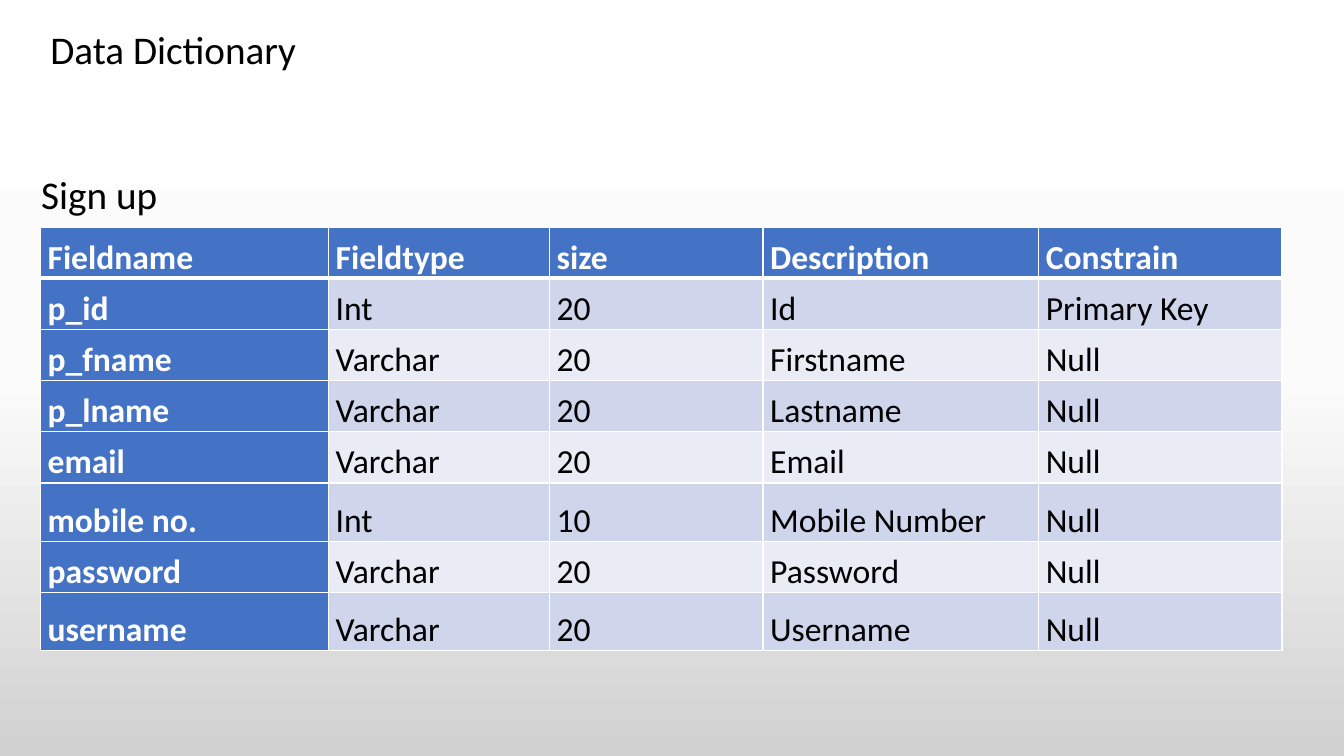
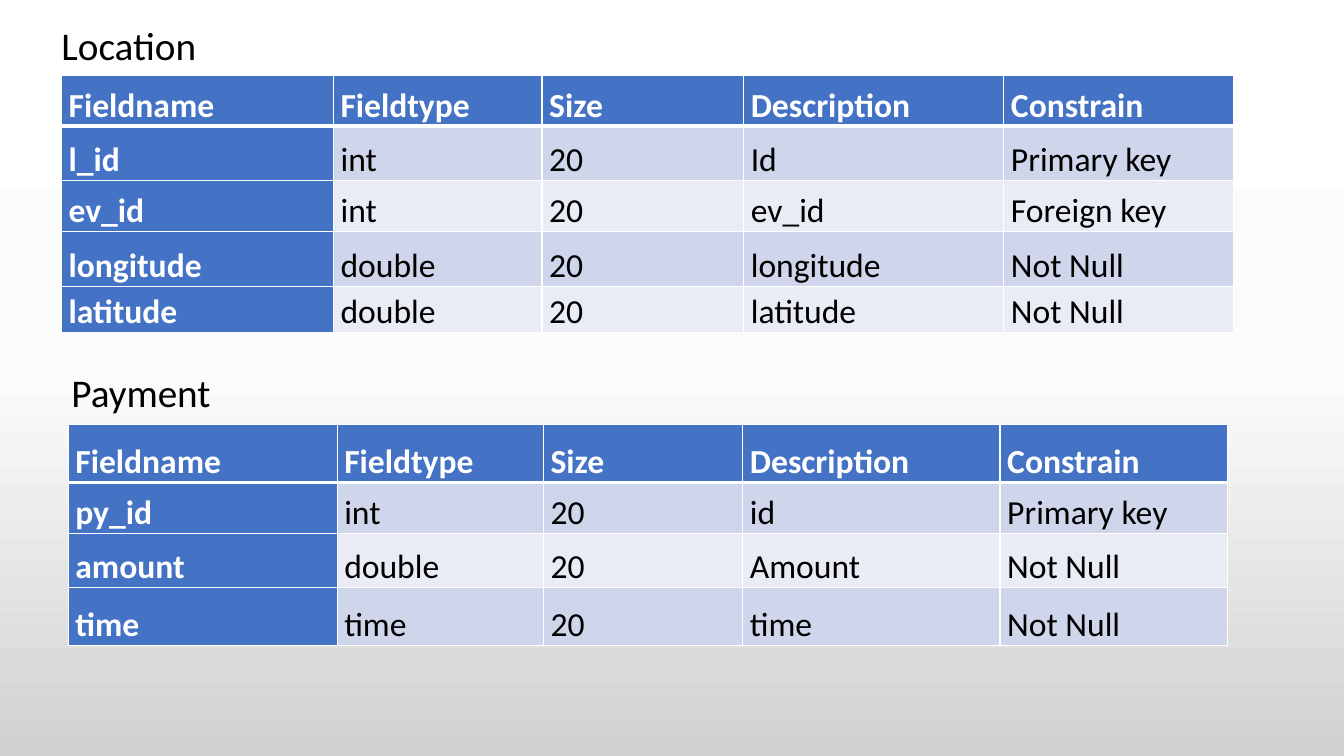
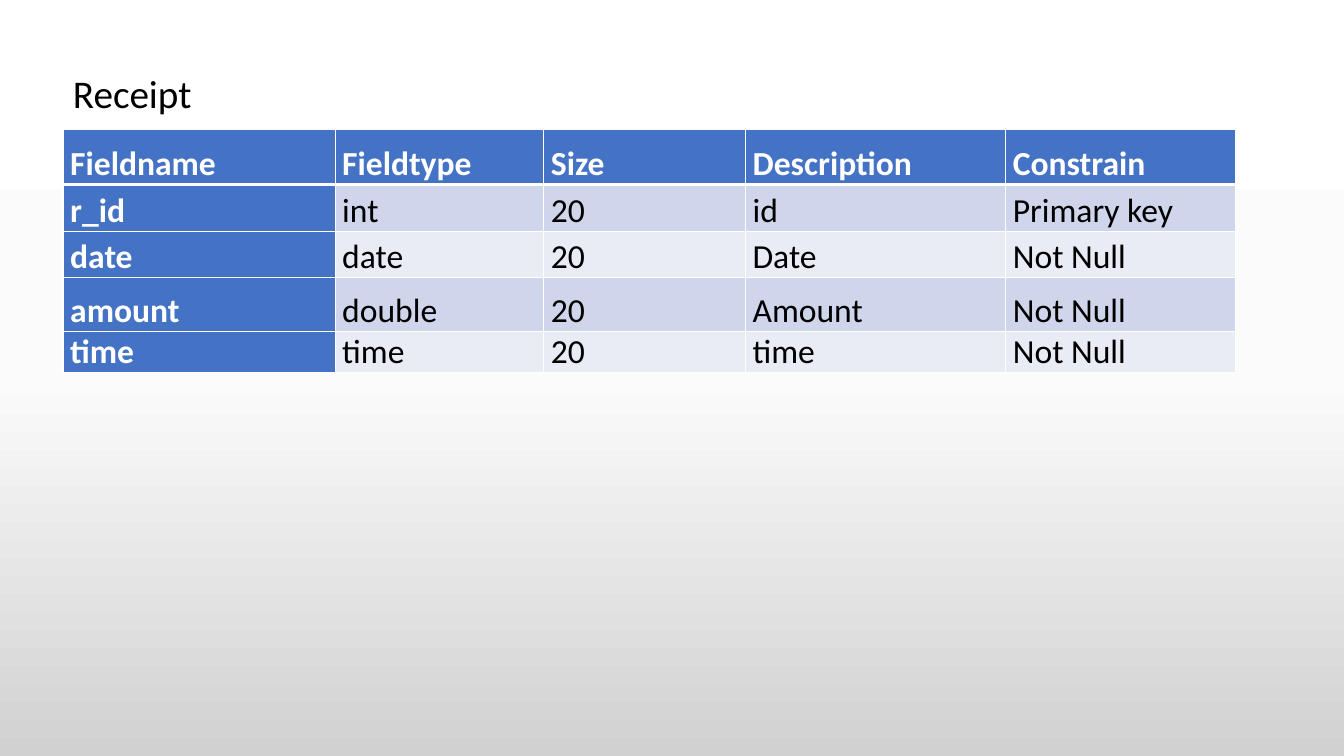
"""Builds three data dictionary slides with captioned field tables."""
from copy import deepcopy

from pptx import Presentation
from pptx.dml.color import RGBColor
from pptx.enum.text import MSO_ANCHOR as Anchor
from pptx.oxml.ns import qn
from pptx.oxml.xmlchemy import OxmlElement as new_element
from pptx.util import Cm, Pt

COLORS = {
    "text": "000000",
    "light_text": "FFFFFF",
    "border": "FFFFFF",
    "heading": "4472C4",
    "odd_row": "CFD5EA",
    "even_row": "E9EBF5",
}
BACKGROUND = [(0, "FFFFFF"), (0.5, "FBFBFB"), (1, "D1D1D1")]
FONT = "Calibri"
CAPTION_SIZE = 28
CELL_SIZE = 24
CELL_MARGIN = 0.18
COLUMN_SHARES = [0.232, 0.178, 0.172, 0.222, 0.196]
HEADER = ("Fieldname", "Fieldtype", "Size", "Description", "Constrain")

SIGN_UP = [
    ("Fieldname", "Fieldtype", "size", "Description", "Constrain"),
    ("p_id", "Int", "20", "Id", "Primary Key"),
    ("p_fname", "Varchar", "20", "Firstname", "Null"),
    ("p_lname", "Varchar", "20", "Lastname", "Null"),
    ("email", "Varchar", "20", "Email", "Null"),
    ("mobile no.", "Int", "10", "Mobile Number", "Null"),
    ("password", "Varchar", "20", "Password", "Null"),
    ("username", "Varchar", "20", "Username", "Null"),
]
LOCATION = [
    HEADER,
    ("l_id", "int", "20", "Id", "Primary key"),
    ("ev_id", "int", "20", "ev_id", "Foreign key"),
    ("longitude", "double", "20", "longitude", "Not Null"),
    ("latitude", "double", "20", "latitude", "Not Null"),
]
PAYMENT = [
    HEADER,
    ("py_id", "int", "20", "id", "Primary key"),
    ("amount", "double", "20", "Amount", "Not Null"),
    ("time", "time", "20", "time", "Not Null"),
]
RECEIPT = [
    HEADER,
    ("r_id", "int", "20", "id", "Primary key"),
    ("date", "date", "20", "Date", "Not Null"),
    ("amount", "double", "20", "Amount", "Not Null"),
    ("time", "time", "20", "time", "Not Null"),
]


def rgb(name):
    return RGBColor.from_string(COLORS[name])


def set_background(master):
    fill = master.background.fill
    fill.gradient()
    fill.gradient_angle = 270
    stop_list = master.element.find(".//" + qn("a:gsLst"))
    stop_list.append(deepcopy(stop_list[0]))
    for stop, (position, color) in zip(fill.gradient_stops, BACKGROUND):
        stop.position = position
        stop.color.rgb = RGBColor.from_string(color)


def write(frame, text, size=CELL_SIZE, color="text", bold=False, spacing=1.0):
    para = frame.paragraphs[0]
    para.line_spacing = spacing
    span = para.add_run()
    span.text = text
    span.font.name = FONT
    span.font.size = Pt(size)
    span.font.bold = bold
    span.font.color.rgb = rgb(color)


def add_caption(page, text, left, top, width, height, anchor=Anchor.MIDDLE, spacing=0.9):
    box = page.shapes.add_textbox(Cm(left), Cm(top), Cm(width), Cm(height))
    frame = box.text_frame
    frame.word_wrap = True
    frame.vertical_anchor = anchor
    write(frame, text, size=CAPTION_SIZE, spacing=spacing)


def add_border(cell, side, width):
    line = new_element(f"a:ln{side}")
    line.set("w", str(Pt(width)))
    fill = new_element("a:solidFill")
    color = new_element("a:srgbClr")
    color.set("val", COLORS["border"])
    fill.append(color)
    line.append(fill)
    cell._tc.get_or_add_tcPr().append(line)


def format_cell(cell, text, row, column):
    is_heading = row == 0 or column == 0
    cell.vertical_anchor = Anchor.BOTTOM
    cell.margin_left = cell.margin_right = Cm(CELL_MARGIN)
    cell.margin_top = cell.margin_bottom = 0
    widths = {"L": 1, "R": 1, "T": 3 if row == 1 else 1, "B": 3 if row == 0 else 1}
    for side, width in widths.items():
        add_border(cell, side, width)
    band = "odd_row" if row % 2 else "even_row"
    cell.fill.solid()
    cell.fill.fore_color.rgb = rgb("heading" if is_heading else band)
    write(cell.text_frame, text, color="light_text" if is_heading else "text", bold=is_heading)


def add_field_table(page, records, left, top, width, heights):
    frame = page.shapes.add_table(
        len(records), len(COLUMN_SHARES), Cm(left), Cm(top), Cm(width), Cm(sum(heights)))
    table = frame.table
    table.first_col = True
    for column, share in zip(table.columns, COLUMN_SHARES):
        column.width = Cm(width * share)
    for row, (record, height) in enumerate(zip(records, heights)):
        table.rows[row].height = Cm(height)
        for column, text in enumerate(record):
            format_cell(table.cell(row, column), text, row, column)


def add_section(page, title, records, left, top, width, heights,
                caption_left, caption_height, caption_width=29.21):
    add_caption(page, title, caption_left, top - caption_height, caption_width, caption_height)
    add_field_table(page, records, left, top, width, heights)


def main():
    deck = Presentation()
    deck.slide_width, deck.slide_height = Cm(33.87), Cm(19.05)
    set_background(deck.slide_master)
    sign_up, billing, receipt = [deck.slides.add_slide(deck.slide_layouts[6]) for _ in range(3)]

    add_section(sign_up, "Sign up", SIGN_UP, 1.02, 5.72, 31.29,
                [1.29] * 5 + [1.47, 1.29, 1.47],
                caption_left=0.79, caption_height=1.52, caption_width=28.47)
    add_caption(sign_up, "Data Dictionary", 1.02, 0.51, 28.47, 1.45, anchor=Anchor.TOP, spacing=1.0)

    add_section(billing, "Location", LOCATION, 1.55, 1.91, 29.54,
                [1.27, 1.37, 1.29, 1.37, 1.17], caption_left=1.3, caption_height=1.42)
    add_section(billing, "Payment", PAYMENT, 1.72, 10.69, 29.21,
                [1.47, 1.29, 1.35, 1.47], caption_left=1.55, caption_height=1.47)

    add_section(receipt, "Receipt", RECEIPT, 1.59, 3.26, 29.55,
                [1.39, 1.18, 1.17, 1.35, 1.04], caption_left=1.59, caption_height=1.7)
    deck.save("out.pptx")


if __name__ == "__main__":
    main()
